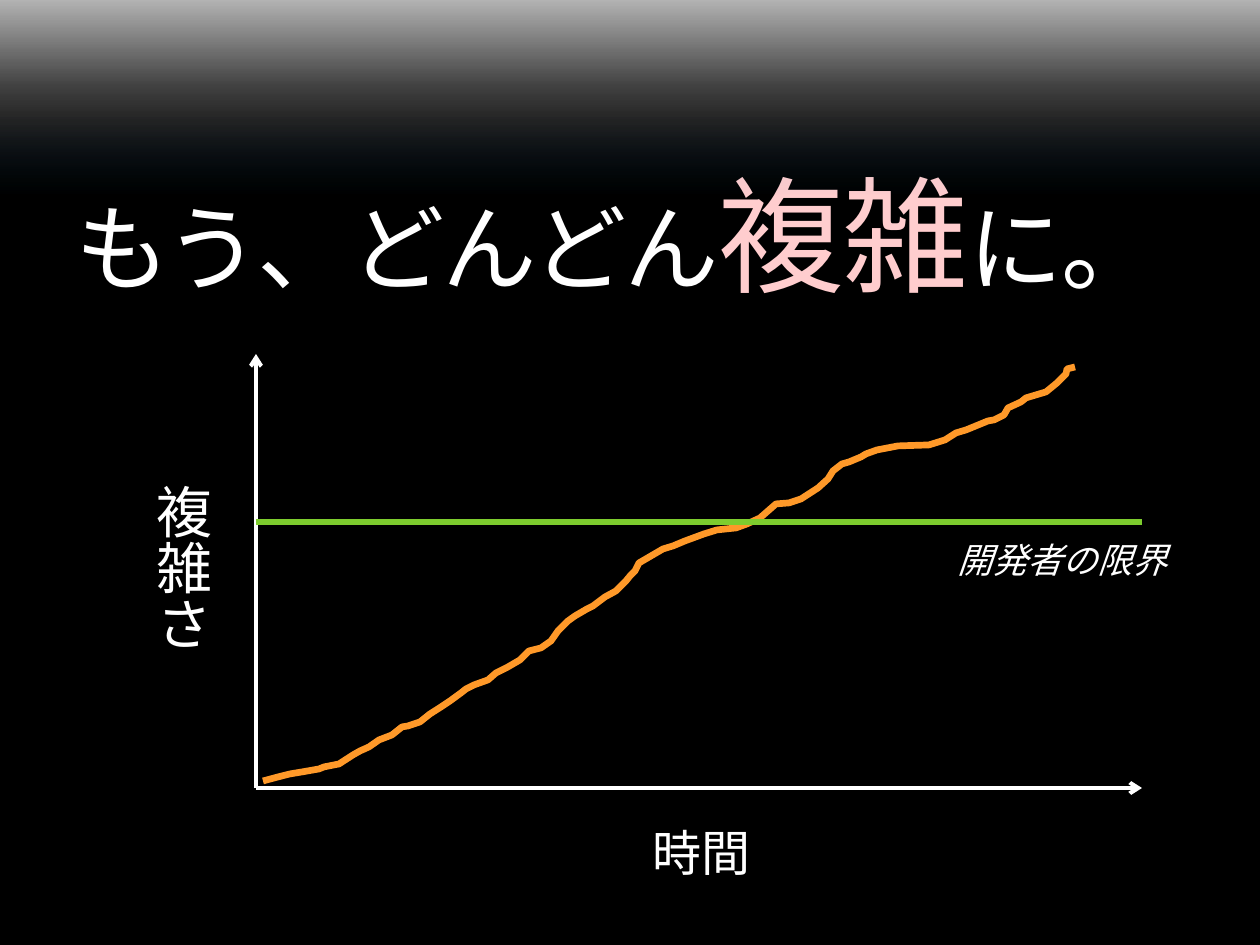
import pptx
import pptx.dml.color
import pptx.enum.shapes
import pptx.enum.text
import pptx.oxml
import pptx.oxml.ns
import pptx.util
from lxml import etree

SCALE = 914400 / 126
W, H = 1260, 945
WHITE = "FFFFFF"
CJK = "Noto Sans CJK JP"
GLOW_STOPS = [(0, "0070C0", 0), (41, WHITE, 15), (56, WHITE, 25), (100, WHITE, 70)]
COMPLEXITY = [
    (7, 427), (22, 423), (34, 420), (46, 418), (63, 415), (68, 413), (83, 410),
    (97, 401), (104, 397), (113, 393), (123, 386), (136, 381), (146, 373),
    (152, 372), (164, 368), (174, 360), (185, 353), (194, 347), (205, 339),
    (210, 335), (218, 331), (232, 326), (240, 319), (252, 313), (264, 306),
    (273, 297), (285, 294), (295, 287), (302, 277), (312, 267), (319, 262),
    (331, 255), (337, 252), (349, 243), (360, 237), (370, 227), (374, 222),
    (379, 217), (383, 209), (395, 202), (407, 195), (417, 192), (429, 187),
    (448, 180), (461, 176), (480, 174), (491, 170), (504, 164), (520, 150),
    (533, 149), (545, 145), (562, 134), (572, 125), (577, 117), (586, 110),
    (593, 108), (605, 103), (610, 100), (621, 96), (642, 92), (673, 91),
    (689, 86), (700, 79), (710, 76), (715, 74), (732, 67), (738, 66),
    (748, 61), (752, 54), (765, 48), (770, 44), (790, 38), (801, 29),
    (810, 20), (811, 15), (819, 13),
]


def px(n):
    return pptx.util.Emu(round(n * SCALE))


def rgb(color):
    return pptx.dml.color.RGBColor.from_string(color)


def child(parent, tag, **attrs):
    return etree.SubElement(parent, pptx.oxml.ns.qn(tag), **attrs)


def style_run(r, size, color, font):
    r.font.size = pptx.util.Pt(size)
    r.font.color.rgb = rgb(color)
    r.font.name = font
    child(r.font._element, "a:ea", typeface=CJK)


def style_line(shape, color, width):
    shape.line.color.rgb = rgb(color)
    shape.line.width = pptx.util.Pt(width)


def add_glow(s, x, y, w, h):
    sp = s.shapes.add_shape(pptx.enum.shapes.MSO_SHAPE.RECTANGLE, px(x), px(y), px(w), px(h))
    sp.shadow.inherit = False
    sp.line.fill.background()
    sp.fill.gradient()
    grad = sp._element.spPr.find(pptx.oxml.ns.qn("a:gradFill"))
    for old in list(grad):
        grad.remove(old)
    stops = child(grad, "a:gsLst")
    for pos, color, alpha in GLOW_STOPS:
        gs = child(stops, "a:gs", pos=str(pos * 1000))
        clr = child(gs, "a:srgbClr", val=color)
        child(clr, "a:alpha", val=str(alpha * 1000))
    child(grad, "a:lin", ang="16200000", scaled="0")


def add_title(s, x, y, w, h):
    sp = s.shapes.title
    sp.left, sp.top, sp.width, sp.height = px(x), px(y), px(w), px(h)
    tf = sp.text_frame
    tf.vertical_anchor = pptx.enum.text.MSO_ANCHOR.MIDDLE
    p = tf.paragraphs[0]
    p.alignment = pptx.enum.text.PP_ALIGN.LEFT
    p.line_spacing = 0.9
    for text, size, color in [("もう、どんどん", 54, WHITE), ("複雑", 72, "FFCDCE"), ("に。", 54, WHITE)]:
        r = p.add_run()
        r.text = text
        style_run(r, size, color, CJK)
        r.font._element.set("spc", "-120")


def add_label(s, text, x, y, w, h, size, italic=False, vertical=False):
    sp = s.shapes.add_textbox(px(x), px(y), px(w), px(h))
    tf = sp.text_frame
    tf.word_wrap = False
    tf.auto_size = pptx.enum.text.MSO_AUTO_SIZE.SHAPE_TO_FIT_TEXT
    if vertical:
        tf._txBody.bodyPr.set("vert", "eaVert")
    tf.text = text
    r = tf.paragraphs[0].runs[0]
    style_run(r, size, WHITE, "Arial")
    if italic:
        r.font.italic = True


def add_line(s, x1, y1, x2, y2, color, width, arrow=False):
    c = s.shapes.add_connector(
        pptx.enum.shapes.MSO_CONNECTOR.STRAIGHT, px(x1), px(y1), px(x2), px(y2))
    style_line(c, color, width)
    if arrow:
        child(c.line._get_or_add_ln(), "a:tailEnd", type="arrow")
    child(c._element.spPr, "a:effectLst")


def add_curve(s, x, y, points):
    emu = [(px(x + dx), px(y + dy)) for dx, dy in points]
    fb = s.shapes.build_freeform(*emu[0])
    fb.add_line_segments(emu[1:], close=False)
    sp = fb.convert_to_shape()
    sp.shadow.inherit = False
    sp.fill.background()
    style_line(sp, "FF9929", 3.82)


def add_graph(s, x, y, w, h):
    add_line(s, x, y + h, x, y, WHITE, 2.25, arrow=True)
    add_line(s, x, y + h, x + w, y + h, WHITE, 2.25, arrow=True)
    add_label(s, "複雑さ", x - 127, y + 118, 93, 183, 32, vertical=True)
    add_label(s, "時間", x + 384, y + 462, 125, 72, 28)
    add_curve(s, x, y, COMPLEXITY)
    add_line(s, x, y + 168, x + w, y + 168, "7DCC2E", 3.78)
    add_label(s, "開発者の限界", x + 689, y + 178, 237, 55, 20, italic=True)


def main():
    prs = pptx.Presentation()
    prs.slide_width, prs.slide_height = px(W), px(H)
    s = prs.slides.add_slide(prs.slide_layouts[5])
    s.background.fill.solid()
    s.background.fill.fore_color.rgb = rgb("000000")
    add_glow(s, 0, 0, W, 194)
    add_title(s, 63, 160, 1134, 165)
    add_graph(s, 256, 354, 886, 434)
    prs.save("out.pptx")


if __name__ == "__main__":
    main()
